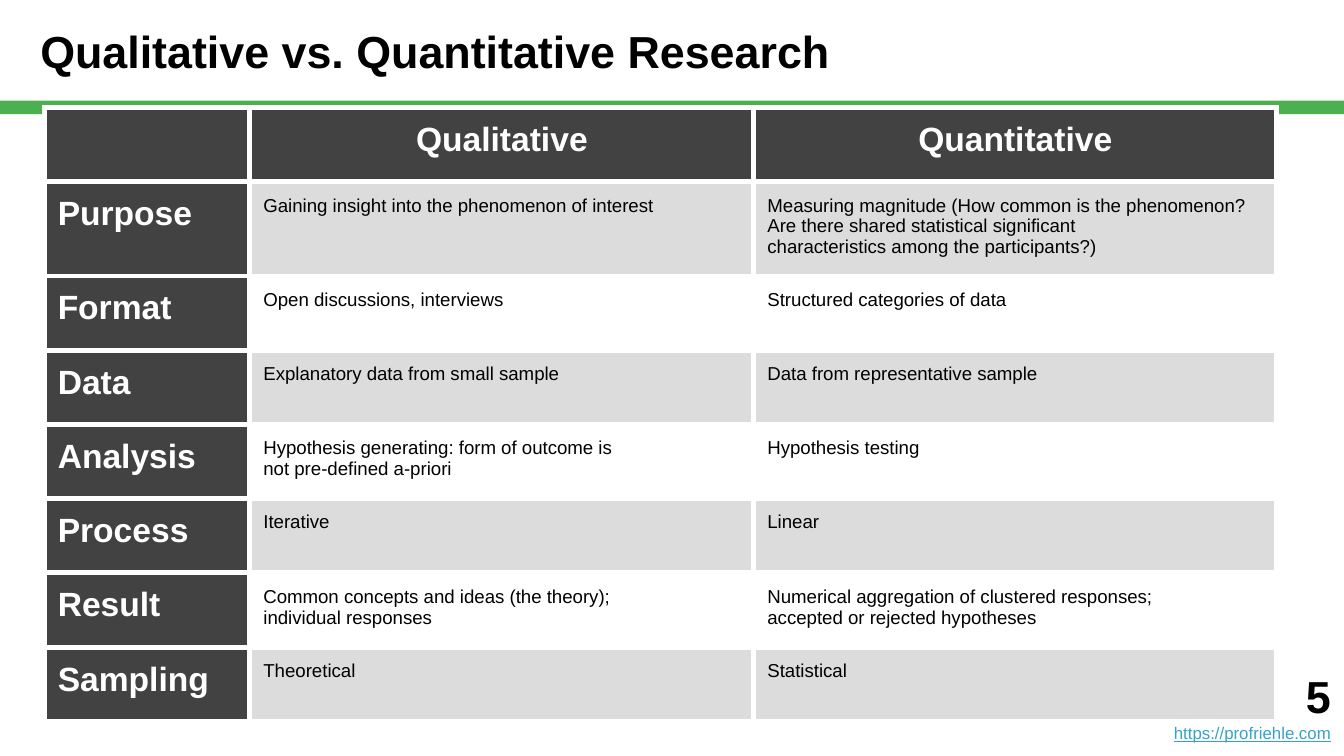
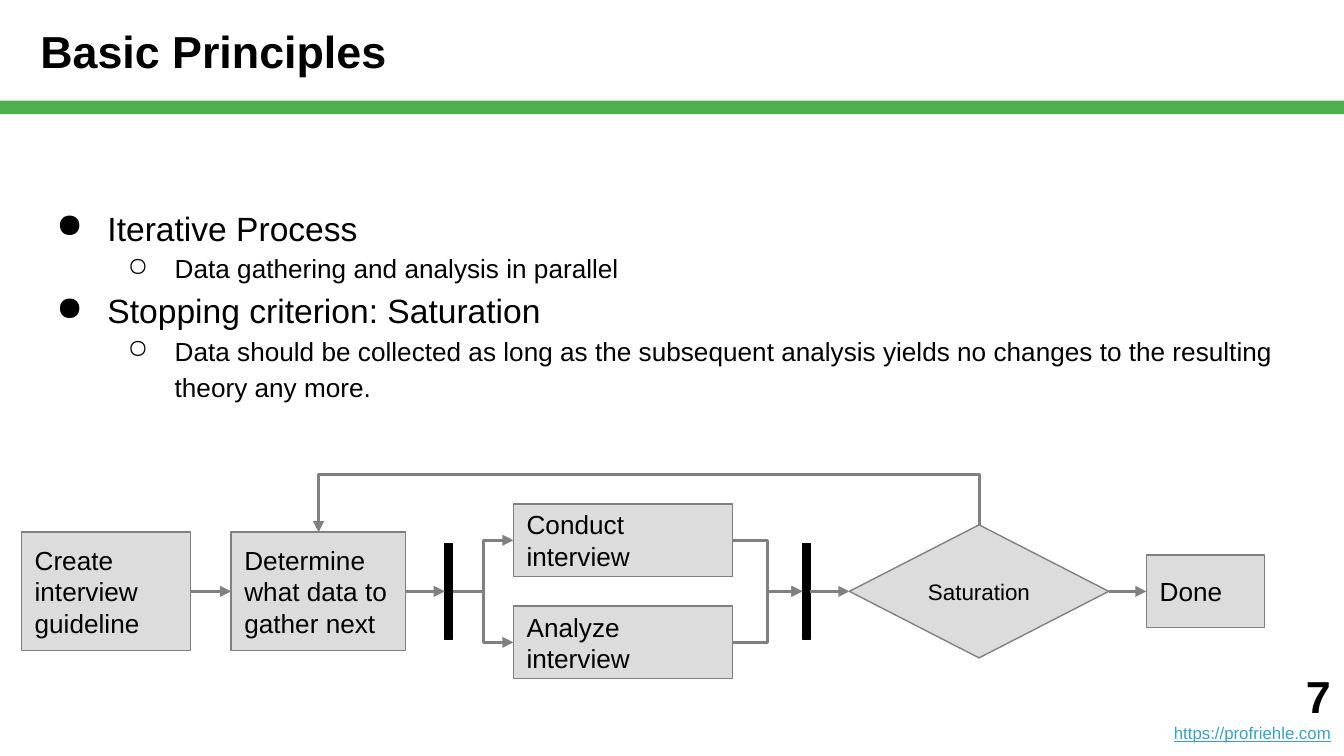
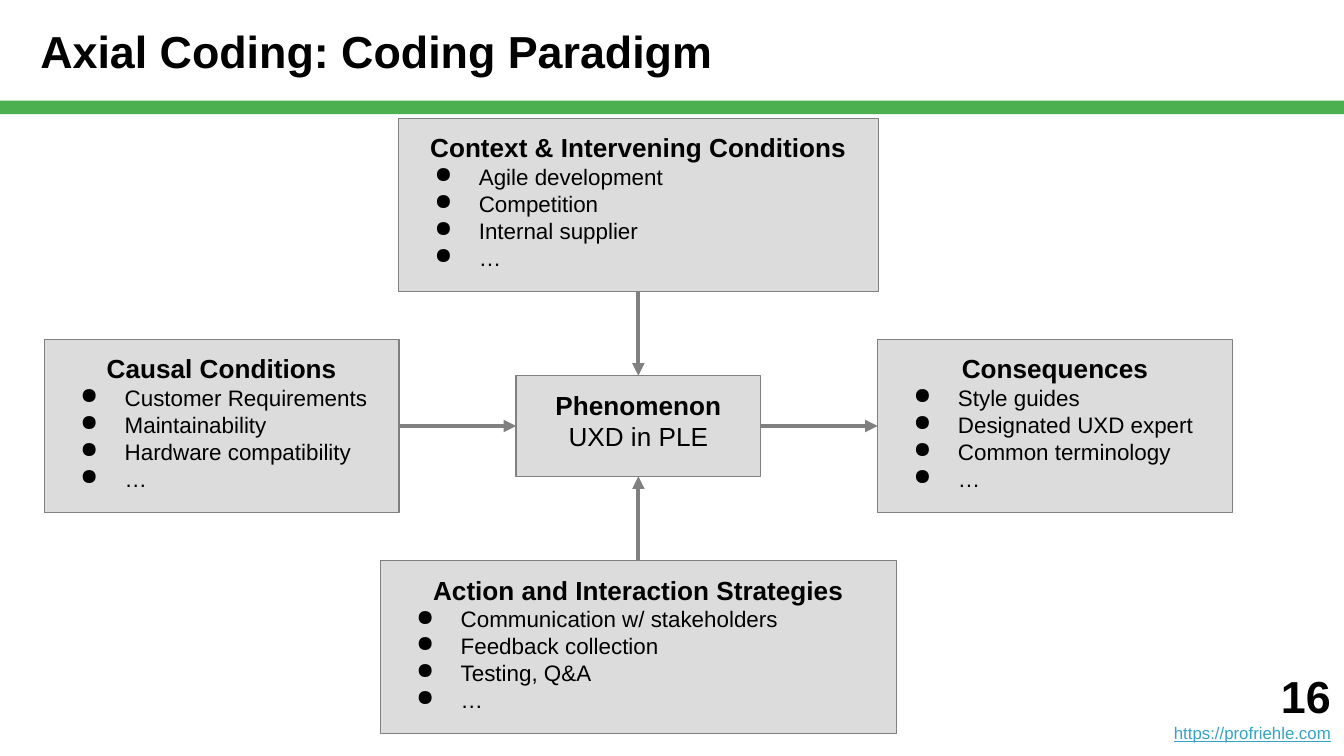
from dataclasses import dataclass

from lxml import etree
from pptx import Presentation
from pptx.dml.color import RGBColor
from pptx.enum.shapes import MSO_CONNECTOR, MSO_SHAPE
from pptx.enum.text import MSO_ANCHOR, PP_ALIGN
from pptx.oxml.ns import qn
from pptx.util import Inches, Pt

BLACK = RGBColor(0x00, 0x00, 0x00)
WHITE = RGBColor(0xFF, 0xFF, 0xFF)
GREEN = RGBColor(0x4C, 0xAF, 0x50)
LINK = RGBColor(0x34, 0xA3, 0xC5)
DARK = RGBColor(0x42, 0x42, 0x42)
LIGHT = RGBColor(0xDC, 0xDC, 0xDC)
GRAY = RGBColor(0x80, 0x80, 0x80)
FONT = "Arial"

LEFT, CENTER, RIGHT = PP_ALIGN.LEFT, PP_ALIGN.CENTER, PP_ALIGN.RIGHT
TOP, MIDDLE, BOTTOM = MSO_ANCHOR.TOP, MSO_ANCHOR.MIDDLE, MSO_ANCHOR.BOTTOM
RECT, DIAMOND = MSO_SHAPE.RECTANGLE, MSO_SHAPE.DIAMOND
STRAIGHT, ELBOW = MSO_CONNECTOR.STRAIGHT, MSO_CONNECTOR.ELBOW
SIDE_TOP, SIDE_LEFT, SIDE_BOTTOM, SIDE_RIGHT = range(4)

SLIDE_W = Inches(10)
SLIDE_H = SLIDE_W * 9 // 16
UNIT = SLIDE_W // 10  # the grid has ten columns and square cells
PAD = 0.1

# bullet character, left margin and hanging indent in grid units
BULLET = ("●", 0.5, -0.38)
SUB_BULLET = ("○", 1, -0.35)
CARD_BULLET = ("●", 0.5, -0.33)


@dataclass
class Box:
    """A rectangle in grid units."""
    x: float
    y: float
    w: float
    h: float

    def at(self, x, y, w, h):
        return Box(self.x + x, self.y + y, w, h)

    def centered(self, cx, cy, w, h):
        return self.at(cx - w / 2, cy - h / 2, w, h)

    def emu(self):
        return [round(v * UNIT) for v in (self.x, self.y, self.w, self.h)]


def add_text(tf, text, size=14, bold=False, color=BLACK, align=LEFT,
             underline=False, bullet=None, spacing=None):
    """Append one formatted paragraph, filling the first one if it is empty."""
    p = tf.paragraphs[0]
    if p.runs:
        p = tf.add_paragraph()
    if bullet:
        char, margin, indent = bullet
        pPr = p._p.get_or_add_pPr()
        pPr.set("marL", str(round(margin * UNIT)))
        pPr.set("indent", str(round(indent * UNIT)))
        clr = etree.SubElement(pPr, qn("a:buClr"))
        etree.SubElement(clr, qn("a:srgbClr")).set("val", str(BLACK))
        etree.SubElement(pPr, qn("a:buChar")).set("char", char)
    p.alignment = align
    if spacing:
        p.line_spacing = spacing
    r = p.add_run()
    r.text = text
    r.font.name, r.font.size = FONT, Pt(size)
    r.font.bold, r.font.underline = bold, underline
    r.font.color.rgb = color


def set_frame(tf, anchor=TOP, pad=PAD, left=None):
    tf.word_wrap = True
    tf.vertical_anchor = anchor
    tf.margin_left = round((pad if left is None else left) * UNIT)
    tf.margin_top = tf.margin_right = tf.margin_bottom = round(pad * UNIT)
    return tf


def add_textbox(slide, box, **frame):
    return set_frame(slide.shapes.add_textbox(*box.emu()).text_frame, **frame)


def add_block(slide, box, kind=RECT, fill=LIGHT, line=GRAY, anchor=MIDDLE):
    sp = slide.shapes.add_shape(kind, *box.emu())
    sp.shadow.inherit = False
    sp.fill.solid()
    sp.fill.fore_color.rgb = fill
    if line is None:
        sp.line.fill.background()
    else:
        sp.line.color.rgb = line
        sp.line.width = Pt(0.75)
    set_frame(sp.text_frame, anchor)
    return sp


def add_arrow(slide, start, start_side, end, end_side, kind=STRAIGHT, width=1.5):
    c = slide.shapes.add_connector(kind, 0, 0, 0, 0)
    c.begin_connect(start, start_side)
    c.end_connect(end, end_side)
    c.line.color.rgb = GRAY
    c.line.width = Pt(width)
    ln = c.line._get_or_add_ln()
    etree.SubElement(ln, qn("a:tailEnd")).set("type", "triangle")
    etree.SubElement(c.element.spPr, qn("a:effectLst"))
    return c


def add_loop_arrow(slide, start, end, peak):
    """Arrow from the top of start up to peak, then back down onto end."""
    c = add_arrow(slide, start, SIDE_TOP, end, SIDE_TOP, ELBOW)
    x1, x2 = start.left + start.width // 2, end.left + end.width // 2
    rise, span = end.top - start.top, x1 - x2
    # the frame is turned a quarter, so its width is the vertical distance
    c.left, c.top = (x1 + x2 - rise) // 2, (start.top + end.top - span) // 2
    c.width, c.height = rise, span
    xfrm = c.element.spPr.find(qn("a:xfrm"))
    for flip in ("flipH", "flipV"):
        xfrm.set(flip, "0")
    xfrm.set("rot", "5400000")
    geom = c.element.spPr.find(qn("a:prstGeom"))
    adjusts = geom.find(qn("a:avLst"))
    if adjusts is None:
        adjusts = etree.SubElement(geom, qn("a:avLst"))
    share = round((peak * UNIT - start.top) / rise * 100000)
    gd = etree.SubElement(adjusts, qn("a:gd"))
    gd.set("name", "adj1")
    gd.set("fmla", f"val {share}")


def new_slide(prs, title, number):
    """Blank slide with the shared band, title and footer."""
    slide = prs.slides.add_slide(prs.slide_layouts[6])
    slide.background.fill.solid()
    slide.background.fill.fore_color.rgb = WHITE
    add_block(slide, Box(0, 0.75, 10, 0.1), fill=GREEN, line=None)
    add_text(add_textbox(slide, Box(0, 0, 10, 0.75), anchor=MIDDLE, left=0.3),
             title, size=24, bold=True)
    footer = add_textbox(slide, Box(8, 4.83, 2, 0.8), anchor=BOTTOM)
    add_text(footer, str(number), size=24, bold=True, align=RIGHT)
    add_text(footer, "https://profriehle.com", size=9, color=LINK,
             underline=True, align=RIGHT)
    return slide


def set_cell(cell, lines, fill, **fmt):
    tcPr = cell._tc.get_or_add_tcPr()
    for edge in ("a:lnL", "a:lnR", "a:lnT", "a:lnB"):
        ln = etree.SubElement(tcPr, qn(edge))
        ln.set("w", str(Pt(3)))
        solid = etree.SubElement(ln, qn("a:solidFill"))
        etree.SubElement(solid, qn("a:srgbClr")).set("val", str(WHITE))
    cell.fill.solid()
    cell.fill.fore_color.rgb = fill
    cell.margin_left = cell.margin_right = round(PAD * UNIT)
    cell.margin_top = cell.margin_bottom = round(PAD * UNIT)
    for line in lines:
        add_text(cell.text_frame, line, **fmt)


def comparison_table(slide, box, columns, header, rows):
    table = slide.shapes.add_table(len(rows) + 1, len(columns), *box.emu()).table
    table.first_row = table.horz_banding = False
    for column, width in zip(table.columns, columns):
        column.width = round(width * UNIT)
    for row in table.rows:
        row.height = round(box.h / (len(rows) + 1) * UNIT)
    strong = dict(size=18, bold=True, color=WHITE)
    for j, name in enumerate(header):
        set_cell(table.cell(0, j), [name] if name else [], DARK,
                 align=CENTER, **strong)
    for i, (name, *answers) in enumerate(rows, 1):
        set_cell(table.cell(i, 0), [name], DARK, **strong)
        for j, answer in enumerate(answers, 1):
            set_cell(table.cell(i, j), answer.split("\n"),
                     LIGHT if i % 2 else WHITE, size=10)


def principles_list(slide, box, topics):
    tf = add_textbox(slide, box, pad=0)
    for topic, detail in topics:
        add_text(tf, topic, size=18, bullet=BULLET, spacing=1.15)
        add_text(tf, detail, size=14, bullet=SUB_BULLET, spacing=1.15)


def interview_flow(slide, box):
    axis, branch = 0.87, 0.38

    def step(text, x, w, h, dy=0, size=14, **look):
        sp = add_block(slide, box.at(x, axis + dy - h / 2, w, h), **look)
        if text:
            add_text(sp.text_frame, text, size=size,
                     align=CENTER if look else LEFT)
        return sp

    bar = dict(w=0.06, h=0.71, fill=BLACK, line=BLACK)
    create = step("Create interview guideline", 0, 1.26, 0.88)
    determine = step("Determine what data to gather next", 1.56, 1.3, 0.88)
    fork = step("", 3.15, **bar)
    tasks = [step("Conduct interview", 3.66, 1.63, 0.54, -branch),
             step("Analyze interview", 3.66, 1.63, 0.54, branch)]
    join = step("", 5.81, **bar)
    saturation = step("Saturation", 6.16, 1.93, 0.99, size=12, kind=DIAMOND)
    done = step("Done", 8.37, 0.88, 0.54)

    for start, end in ((create, determine), (determine, fork),
                       (join, saturation), (saturation, done)):
        add_arrow(slide, start, SIDE_RIGHT, end, SIDE_LEFT)
    for task in tasks:
        add_arrow(slide, fork, SIDE_RIGHT, task, SIDE_LEFT, ELBOW)
        add_arrow(slide, task, SIDE_RIGHT, join, SIDE_LEFT, ELBOW)
    add_loop_arrow(slide, saturation, determine, box.y)


def coding_paradigm(slide, box):
    """Four cards on the edges of the box around a central phenomenon."""
    cx, cy = box.w / 2, box.h / 2
    side_w, card_h = 2.64, 1.29

    def card(x, y, w, title, *items):
        sp = add_block(slide, box.centered(x, y, w, card_h), anchor=TOP)
        add_text(sp.text_frame, title, bold=True, align=CENTER)
        for item in (*items, "…"):
            add_text(sp.text_frame, item, size=12, bullet=CARD_BULLET)
        return sp

    context = card(cx, card_h / 2, 3.57, "Context & Intervening Conditions",
                   "Agile development", "Competition", "Internal supplier")
    causes = card(side_w / 2, cy, side_w, "Causal Conditions",
                  "Customer Requirements", "Maintainability",
                  "Hardware compatibility")
    phenomenon = add_block(slide, box.centered(cx, cy, 1.82, 0.75), anchor=TOP)
    add_text(phenomenon.text_frame, "Phenomenon", bold=True, align=CENTER)
    add_text(phenomenon.text_frame, "UXD in PLE", align=CENTER)
    consequences = card(box.w - side_w / 2, cy, side_w, "Consequences",
                        "Style guides", "Designated UXD expert",
                        "Common terminology")
    strategies = card(cx, box.h - card_h / 2, 3.84,
                      "Action and Interaction Strategies",
                      "Communication w/ stakeholders", "Feedback collection",
                      "Testing, Q&A")

    for start, out, end, into in (
            (causes, SIDE_RIGHT, phenomenon, SIDE_LEFT),
            (phenomenon, SIDE_RIGHT, consequences, SIDE_LEFT),
            (context, SIDE_BOTTOM, phenomenon, SIDE_TOP),
            (strategies, SIDE_TOP, phenomenon, SIDE_BOTTOM)):
        add_arrow(slide, start, out, end, into, width=2.25)


COMPARISON = [
    ("Purpose", "Gaining insight into the phenomenon of interest",
     "Measuring magnitude (How common is the phenomenon?\n"
     "Are there shared statistical significant\n"
     "characteristics among the participants?)"),
    ("Format", "Open discussions, interviews", "Structured categories of data"),
    ("Data", "Explanatory data from small sample",
     "Data from representative sample"),
    ("Analysis",
     "Hypothesis generating: form of outcome is\nnot pre-defined a-priori",
     "Hypothesis testing"),
    ("Process", "Iterative", "Linear"),
    ("Result", "Common concepts and ideas (the theory);\nindividual responses",
     "Numerical aggregation of clustered responses;\n"
     "accepted or rejected hypotheses"),
    ("Sampling", "Theoretical", "Statistical"),
]

PRINCIPLES = [
    ("Iterative Process", "Data gathering and analysis in parallel"),
    ("Stopping criterion: Saturation",
     "Data should be collected as long as the subsequent analysis yields "
     "no changes to the resulting theory any more."),
]


def main():
    prs = Presentation()
    prs.slide_width, prs.slide_height = SLIDE_W, SLIDE_H

    slide = new_slide(prs, "Qualitative vs. Quantitative Research", 5)
    comparison_table(slide, Box(0.33, 0.8, 9.17, 4.42), (1.53, 3.75, 3.89),
                     ("", "Qualitative", "Quantitative"), COMPARISON)

    slide = new_slide(prs, "Basic Principles", 7)
    principles_list(slide, Box(0.3, 1.5, 9.4, 4), PRINCIPLES)
    interview_flow(slide, Box(0.16, 3.53, 9.25, 1.52))

    slide = new_slide(prs, "Axial Coding: Coding Paradigm", 16)
    coding_paradigm(slide, Box(0.33, 0.88, 8.84, 4.58))

    prs.save("out.pptx")


if __name__ == "__main__":
    main()
